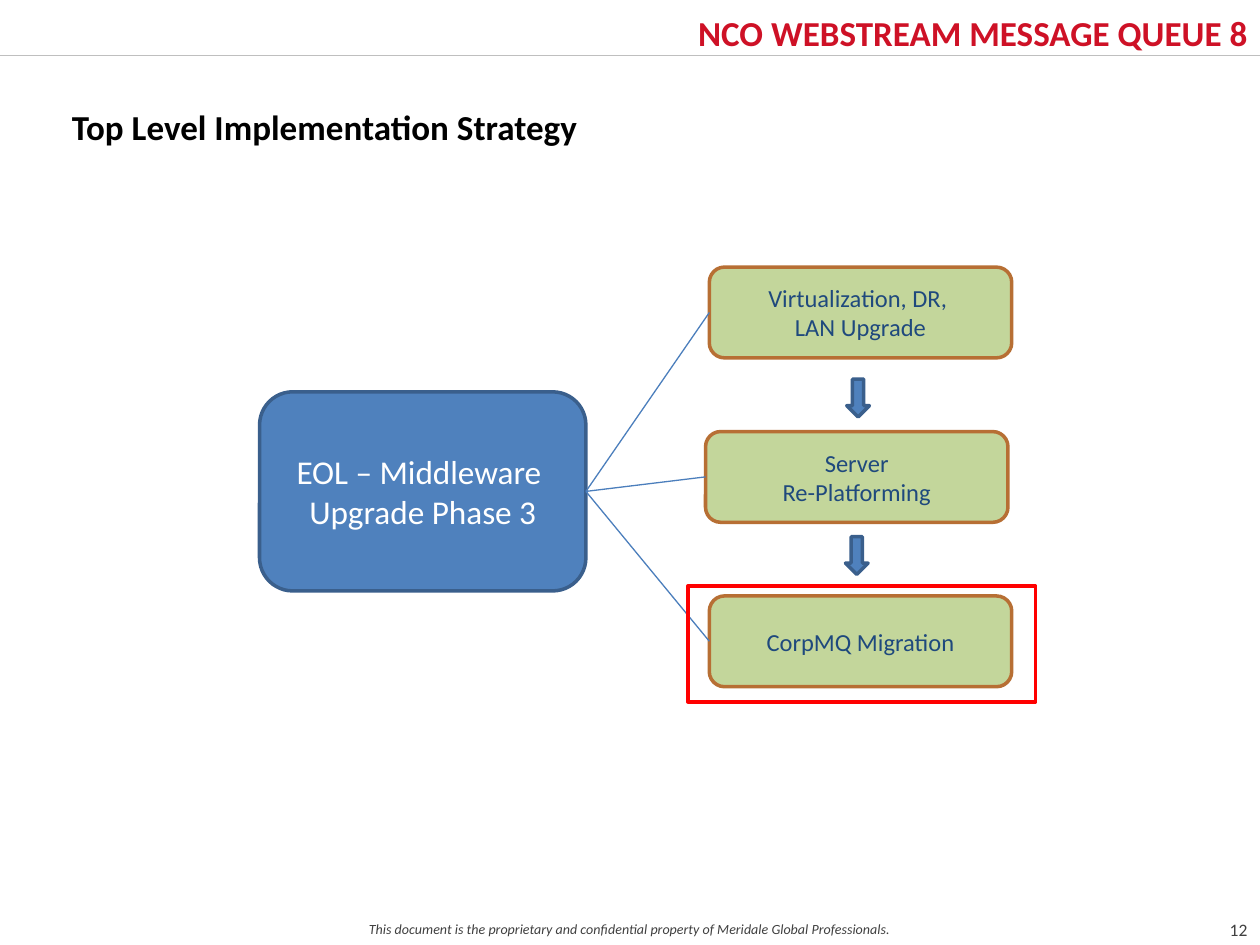
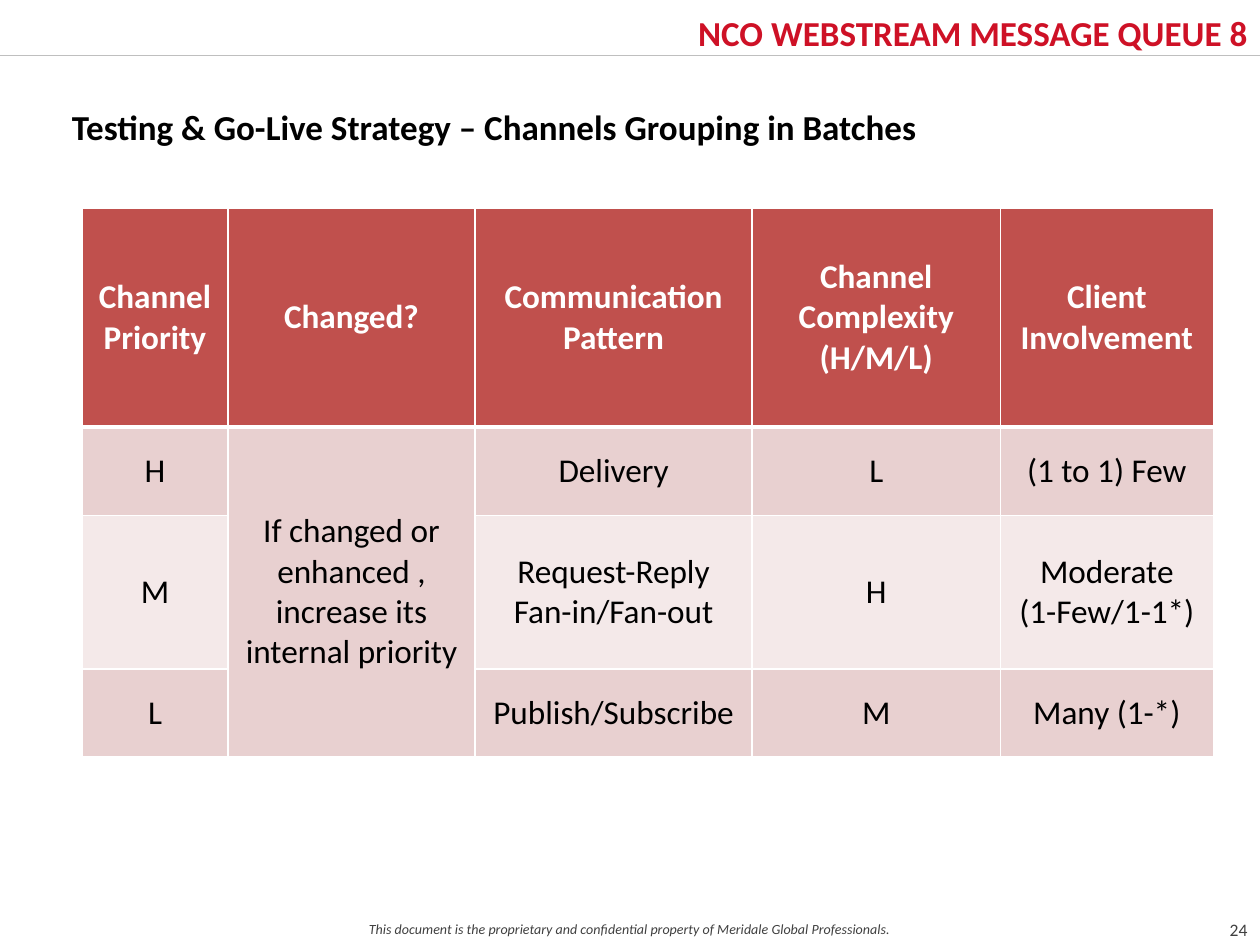
from dataclasses import dataclass
from lxml.etree import SubElement
from pptx import Presentation
from pptx.dml.color import RGBColor
from pptx.enum.shapes import MSO_CONNECTOR, MSO_SHAPE
from pptx.enum.text import MSO_ANCHOR, MSO_AUTO_SIZE, PP_ALIGN
from pptx.oxml.ns import qn
from pptx.util import Emu, Inches, Pt

# ---- Content ----
BAND = "NCO WEBSTREAM MESSAGE QUEUE 8"
NOTICE = ("This document is the proprietary and confidential property of "
          "Meridale Global Professionals.")

PLAN = {
    "title": "Top Level Implementation Strategy",
    "page": "12",
    "hub": ["EOL – Middleware ", "Upgrade Phase 3"],
    # Lines of each step and its left edge in grid columns
    "steps": [
        (["Virtualization, DR, ", "LAN Upgrade"], 56.3),
        (["Server", "Re-Platforming"], 56),
        (["CorpMQ Migration"], 56.3),
    ],
}

BATCH = {
    "title": "Testing & Go-Live Strategy – Channels Grouping in Batches",
    "page": "24",
    "cols": [11.6, 19.6, 22, 19.7, 16.9],
    "rows": [17.4, 7, 12.2, 7],
    "cells": [
        ["Channel Priority", "Changed?", "Communication Pattern",
         "Channel Complexity\n(H/M/L)", "Client Involvement"],
        ["H", "If changed or enhanced , increase its internal priority",
         "Delivery", "L", "(1 to 1) Few"],
        ["M", None, "Request-Reply\nFan-in/Fan-out", "H",
         "Moderate\n(1-Few/1-1*)"],
        ["L", None, "Publish/Subscribe", "M", "Many (1-*)"],
    ],
}


# ---- Theme ----
@dataclass(frozen=True)
class Theme:
    font: str = "Calibri"
    red: str = "CE1126"
    ink: str = "000000"
    gray: str = "404040"
    rule: str = "BFBFBF"
    white: str = "FFFFFF"
    blue: str = "4F81BD"
    navy: str = "1F497D"
    edge: str = "3A5F8C"
    link: str = "4B7EBC"
    green: str = "C3D69B"
    rust: str = "B76F34"
    mark: str = "FF0000"
    head: str = "C0504D"
    bands: tuple = ("E8D0D0", "F4E9E9")
    title: int = 20
    large: int = 19
    body: int = 14
    page: int = 10
    small: int = 8


T = Theme()
deck = Presentation()
deck.slide_width, deck.slide_height = Inches(10), Inches(7.5)
UNIT = deck.slide_width / 100  # grid of 100 columns by 75 rows


# ---- Helpers ----
def grid(*vals):
    return [Emu(round(v * UNIT)) for v in vals]


def rgb(code):
    return RGBColor.from_string(code)


def write(frame, lines, size, color, bold=False, italic=False,
          align=PP_ALIGN.CENTER, anchor=MSO_ANCHOR.MIDDLE):
    frame.word_wrap = True
    frame.vertical_anchor = anchor
    frame.text = "\n".join(lines)
    for para in frame.paragraphs:
        para.alignment = align
        font = para.font
        font.name, font.size = T.font, Pt(size)
        font.bold, font.italic = bold, italic
        font.color.rgb = rgb(color)


def label(slide, spot, text, pad, **style):
    frame = slide.shapes.add_textbox(*grid(*spot)).text_frame
    (frame.margin_left, frame.margin_top,
     frame.margin_right, frame.margin_bottom) = grid(*pad)
    write(frame, [text], **style)


def block(slide, kind, spot, fill, edge):
    shape = slide.shapes.add_shape(kind, *grid(*spot))
    shape.shadow.inherit = False
    if fill:
        shape.fill.solid()
        shape.fill.fore_color.rgb = rgb(fill)
    else:
        shape.fill.background()
    shape.line.color.rgb = rgb(edge)
    shape.line.width = Pt(2)
    return shape


def stroke(slide, ends, color, width):
    line = slide.shapes.add_connector(MSO_CONNECTOR.STRAIGHT, *grid(*ends))
    line.line.color.rgb = rgb(color)
    line.line.width = Pt(width)
    SubElement(line._element.spPr, qn("a:effectLst"))
    return line


def border(cell, base):
    props = cell._tc.get_or_add_tcPr()
    for side, width in (("L", 1), ("R", 1), ("T", 1), ("B", base)):
        line = SubElement(props, qn(f"a:ln{side}"), w=str(Pt(width)))
        fill = SubElement(line, qn("a:solidFill"))
        SubElement(fill, qn("a:srgbClr"), val=T.white)


def start(data):
    """Add a slide with its title, top band and footer."""
    slide = deck.slides.add_slide(deck.slide_layouts[5])
    pad = (1.1, 0.5, 1.1, 0.5)
    label(slide, (0, 72.6, 100, 2.4), NOTICE, pad, size=T.small,
          color=T.gray, italic=True, anchor=MSO_ANCHOR.TOP)
    label(slide, (96, 71.6, 4.6, 4.3), data["page"], pad,
          size=T.page, color=T.gray)
    stroke(slide, (0, 4.4, 100, 4.4), T.rule, 0.5)
    label(slide, (40.1, 0.2, 59.9, 4.2), BAND, (0, 0.7, 1, 0.7),
          size=T.title, color=T.red, bold=True,
          align=PP_ALIGN.RIGHT, anchor=MSO_ANCHOR.TOP)

    title = slide.shapes.title
    title.left, title.top, title.width, title.height = grid(4.7, 7.9, 90.2, 4.4)
    frame = title.text_frame
    frame.auto_size = MSO_AUTO_SIZE.NONE
    write(frame, [data["title"]], T.title, T.ink, bold=True,
          align=PP_ALIGN.JUSTIFY, anchor=MSO_ANCHOR.TOP)
    frame.paragraphs[0].space_after = Pt(6)
    return slide


# ---- Strategy diagram ----
def draw_plan():
    slide = start(PLAN)
    card = MSO_SHAPE.FLOWCHART_ALTERNATE_PROCESS
    hub = block(slide, card, (20.6, 31.1, 25.9, 15.8), T.blue, T.edge)
    write(hub.text_frame, PLAN["hub"], T.large, T.white)

    for i, (lines, left) in enumerate(PLAN["steps"]):
        step = block(slide, card, (left, 21.2 + 13.05 * i, 24, 7.2),
                     T.green, T.rust)
        write(step.text_frame, lines, T.body, T.navy)
        link = stroke(slide, (0, 0, 1, 1), T.link, 0.75)
        link.begin_connect(hub, 3)
        link.end_connect(step, 1)

    # Arrows between the steps
    for i in range(len(PLAN["steps"]) - 1):
        block(slide, MSO_SHAPE.DOWN_ARROW,
              (67.2 - 0.1 * i, 30.1 + 12.5 * i, 1.8, 3), T.blue, T.edge)

    # Frame around the last step
    block(slide, MSO_SHAPE.RECTANGLE, (54.6, 46.5, 27.6, 9.2), None, T.mark)


# ---- Batch table ----
def draw_batch():
    slide = start(BATCH)
    cols, rows = BATCH["cols"], BATCH["rows"]
    table = slide.shapes.add_table(
        len(rows), len(cols),
        *grid(6.5, 16.5, sum(cols), sum(rows))).table
    table.horz_banding = table.first_row = False
    for col, width in zip(table.columns, grid(*cols)):
        col.width = width
    for row, height in zip(table.rows, grid(*rows)):
        row.height = height

    for r, texts in enumerate(BATCH["cells"]):
        top = r == 0
        for c, text in enumerate(texts):
            cell = table.cell(r, c)
            border(cell, 3 if top else 1)
            cell.fill.solid()
            cell.fill.fore_color.rgb = rgb(T.head if top else T.bands[(r - 1) % 2])
            if text:
                write(cell.text_frame, text.split("\n"), T.large,
                      T.white if top else T.ink, bold=top)
                cell.vertical_anchor = MSO_ANCHOR.MIDDLE
    table.cell(1, 1).merge(table.cell(3, 1))


def main():
    draw_plan()
    draw_batch()
    deck.save("out.pptx")


if __name__ == "__main__":
    main()
